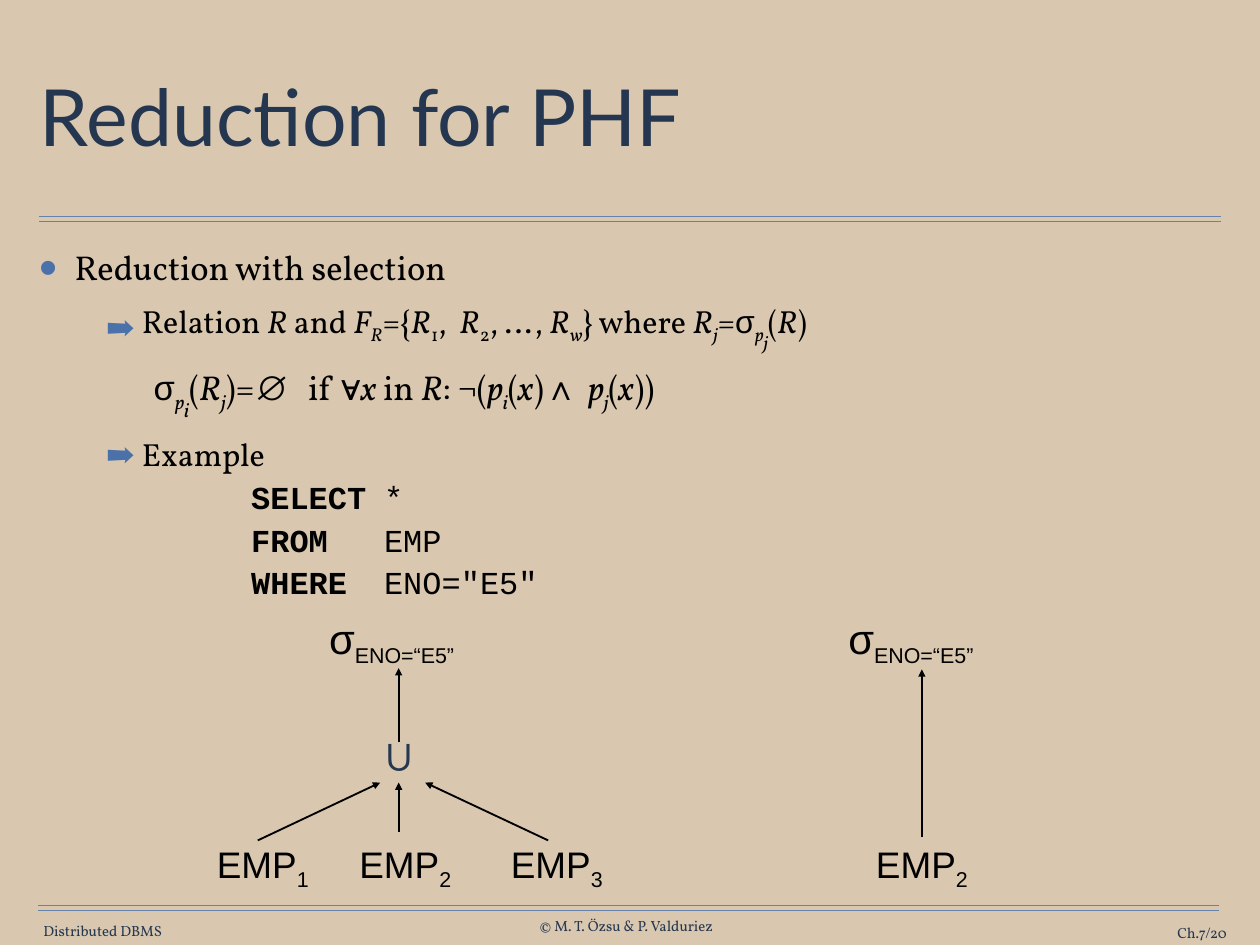
from lxml import etree
from pptx import Presentation
from pptx.dml.color import RGBColor
from pptx.enum.shapes import MSO_CONNECTOR
from pptx.enum.text import MSO_ANCHOR, PP_ALIGN
from pptx.oxml.ns import qn
from pptx.util import Pt

STRAIGHT = MSO_CONNECTOR.STRAIGHT
TOP, MIDDLE = MSO_ANCHOR.TOP, MSO_ANCHOR.MIDDLE
LEFT, CENTER, RIGHT = PP_ALIGN.LEFT, PP_ALIGN.CENTER, PP_ALIGN.RIGHT

SAND, BLACK, NAVY = "D9C8AF", "000000", "263750"
TITLE_BLUE, BULLET_BLUE, RULE_BLUE = "253750", "4A71A9", "6682AA"
SANS, SERIF, MONO, HEADING = "Arial", "Vollkorn", "Courier New", "Lato"

# Run styles: i italic, s subscript, d deeper subscript, a sans, m mono, b bold
RELATION = [
    ("Relation ", ""), ("R", "i"), (" and ", ""), ("F", "i"), ("R", "is"),
    ("={", ""), ("R", "i"), ("1", "s"), (",  ", ""), ("R", "i"), ("2", "s"),
    (", …, ", ""), ("R", "i"), ("w", "is"), ("} where ", ""), ("R", "i"),
    ("j", "is"), ("=", ""), ("σ", "a"), ("p", "is"), ("j", "id"),
    ("(", ""), ("R", "i"), (")", "")]
CONDITION = [
    ("σ", "a"), ("p", "is"), ("i", "id"), ("(", ""), ("R", "i"), ("j", "is"),
    (")=", ""), ("∅  ", "a"), ("if ", ""), ("∀", "a"), ("x ", "i"),
    ("in ", ""), ("R", "i"), (": ¬(", ""), ("p", "i"), ("i", "is"),
    ("(", ""), ("x", "i"), (")", ""), ("∧ ", "a"), ("p", "i"),
    ("j", "is"), ("(", ""), ("x", "i"), ("))", "")]
QUERY = [("SELECT", "\t*"), ("FROM", "\t\tEMP"), ("WHERE", '\tENO="E5"')]


def color(value):
    return RGBColor.from_string(value)


def add_run(paragraph, text, size, font, fill, style=""):
    run = paragraph.add_run()
    run.text = text
    run.font.size = Pt(size)
    run.font.name = font
    run.font.color.rgb = color(fill)
    run.font.bold = "b" in style
    run.font.italic = "i" in style
    if "s" in style or "d" in style:
        baseline = -50000 if "d" in style else -25000
        run.font._element.set("baseline", str(baseline))


def add_text_box(slide, box, inset=(0, 0), anchor=TOP, align=LEFT, wrap=False):
    shape = slide.shapes.add_textbox(*map(Pt, box))
    frame = shape.text_frame
    frame.word_wrap = wrap
    frame.vertical_anchor = anchor
    frame.margin_left = frame.margin_right = Pt(inset[0])
    frame.margin_top = frame.margin_bottom = Pt(inset[1])
    frame.paragraphs[0].alignment = align
    return frame


def add_line(slide, start, end, fill, width, arrow=False):
    line = slide.shapes.add_connector(STRAIGHT, *map(Pt, (*start, *end)))
    line.line.color.rgb = color(fill)
    line.line.width = Pt(width)
    if arrow:
        outline = line.line._get_or_add_ln()
        etree.SubElement(outline, qn("a:tailEnd"), type="triangle")
    etree.SubElement(line._element.spPr, qn("a:effectLst"))


def set_indent(paragraph, margin, hanging=0, bullet=None, bullet_percent=100):
    properties = paragraph._p.get_or_add_pPr()
    properties.set("marL", str(Pt(margin)))
    properties.set("indent", str(-Pt(hanging)))
    if bullet:
        bullet_color = etree.SubElement(properties, qn("a:buClr"))
        etree.SubElement(bullet_color, qn("a:srgbClr"), val=BULLET_BLUE)
        etree.SubElement(properties, qn("a:buSzPct"), val=str(bullet_percent * 1000))
        etree.SubElement(properties, qn("a:buFont"), typeface=SANS)
        etree.SubElement(properties, qn("a:buChar"), char=bullet)
    else:
        etree.SubElement(properties, qn("a:buNone"))


def add_double_rule(slide, left, top, width):
    for y in (top, top + 4.25):
        add_line(slide, (left, y), (left + width, y), RULE_BLUE, 1)


def add_title(slide, box):
    frame = add_text_box(slide, box, (4.5, 4.5), MIDDLE, wrap=True)
    frame.paragraphs[0].line_spacing = 0.9
    add_run(frame.paragraphs[0], "Reduction for PHF", 64, HEADING, TITLE_BLUE)


def add_body(slide, box):
    frame = add_text_box(slide, box, (4.5, 4.5), wrap=True)
    arrow_level = (83.5, 28.8, "➡", 85)
    rows = [
        ([("Reduction with selection", "")], 28, 0, (28.8, 28.8, "•", 150)),
        (RELATION, 26, 10.8, arrow_level),
        (CONDITION, 28, 10.8, (121.7, 28.8)),
        ([("Example", "")], 26, 10.8, arrow_level)]
    rows += [([(keyword, "mb"), (value, "m")], 26, 3.5, (172.2,))
             for keyword, value in QUERY]
    for index, (runs, size, space, indent) in enumerate(rows):
        paragraph = frame.add_paragraph() if index else frame.paragraphs[0]
        paragraph.space_before = Pt(space)
        set_indent(paragraph, *indent)
        for text, style in runs:
            font = SANS if "a" in style else MONO if "m" in style else SERIF
            add_run(paragraph, text, size, font, BLACK, style)


def add_operand(slide, center, top, width, text, subscript, size):
    box = (center - width / 2, top, width, size * 1.5)
    paragraph = add_text_box(slide, box, (10, 5), align=CENTER).paragraphs[0]
    add_run(paragraph, text, size, SANS, BLACK)
    add_run(paragraph, subscript, 30, SANS, BLACK, "s")


def add_selection(slide, center, top):
    add_operand(slide, center, top, 134.6, "σ", "ENO=“E5” ", 34)


def add_relation(slide, center, top, number):
    add_operand(slide, center, top, 97.2, "EMP", str(number), 30)


def add_union_tree(slide, left, top):
    """Selection over the union of the three fragments."""
    axis = left + 159
    add_selection(slide, left + 155.7, top)
    for number, center in enumerate((48.5, 164.4, 287.5), 1):
        add_relation(slide, left + center, top + 186, number)
    union = add_text_box(slide, (axis - 13.5, top + 100.3, 28, 41.8), align=CENTER)
    union.paragraphs[0].line_spacing = Pt(41.2)
    add_run(union.paragraphs[0], "∪", 36, SANS, NAVY)
    add_line(slide, (axis, top + 110), (axis, top + 50), BLACK, 1.5, True)
    for start, start_y, end in ((-114.5, 190, -15), (0, 183, 0), (121.5, 190, 21.5)):
        add_line(slide, (axis + start, top + start_y), (axis + end, top + 143),
                 BLACK, 1.5, True)


def add_reduced_tree(slide, left, top):
    """Selection over the only fragment that remains."""
    add_selection(slide, left + 67.3, top)
    add_relation(slide, left + 73.8, top + 186, 2)
    axis = left + 73.8
    add_line(slide, (axis, top + 187.5), (axis, top + 51), BLACK, 1.5, True)


def add_footer(slide, left, top):
    parts = [("Distributed DBMS", 3, 4.5, 99, CENTER),
             ("© M. T. Özsu & P. Valduriez", 403, 0, 150, CENTER),
             ("Ch.7/20", 855, 6, 111, RIGHT)]
    for text, x, y, width, align in parts:
        box = (left + x, top + y, width, 14.4)
        frame = add_text_box(slide, box, anchor=MIDDLE, align=align, wrap=align == RIGHT)
        add_run(frame.paragraphs[0], text, 12, SERIF, NAVY)


presentation = Presentation()
presentation.slide_width, presentation.slide_height = Pt(1024), Pt(768)
slide = presentation.slides.add_slide(presentation.slide_layouts[6])
slide.background.fill.solid()
slide.background.fill.fore_color.rgb = color(SAND)

# Frame of the slide
add_double_rule(slide, 31.5, 175.75, 960.5)
add_double_rule(slide, 31, 735.9, 960)
add_footer(slide, 31, 745)

# Title and rules of the reduction
add_title(slide, (28, 35.3, 967.7, 126.7))
add_body(slide, (27.4, 195.8, 967.7, 532.8))

# Query trees before and after the reduction
add_union_tree(slide, 165, 493)
add_reduced_tree(slide, 675.4, 493)

presentation.save("out.pptx")
